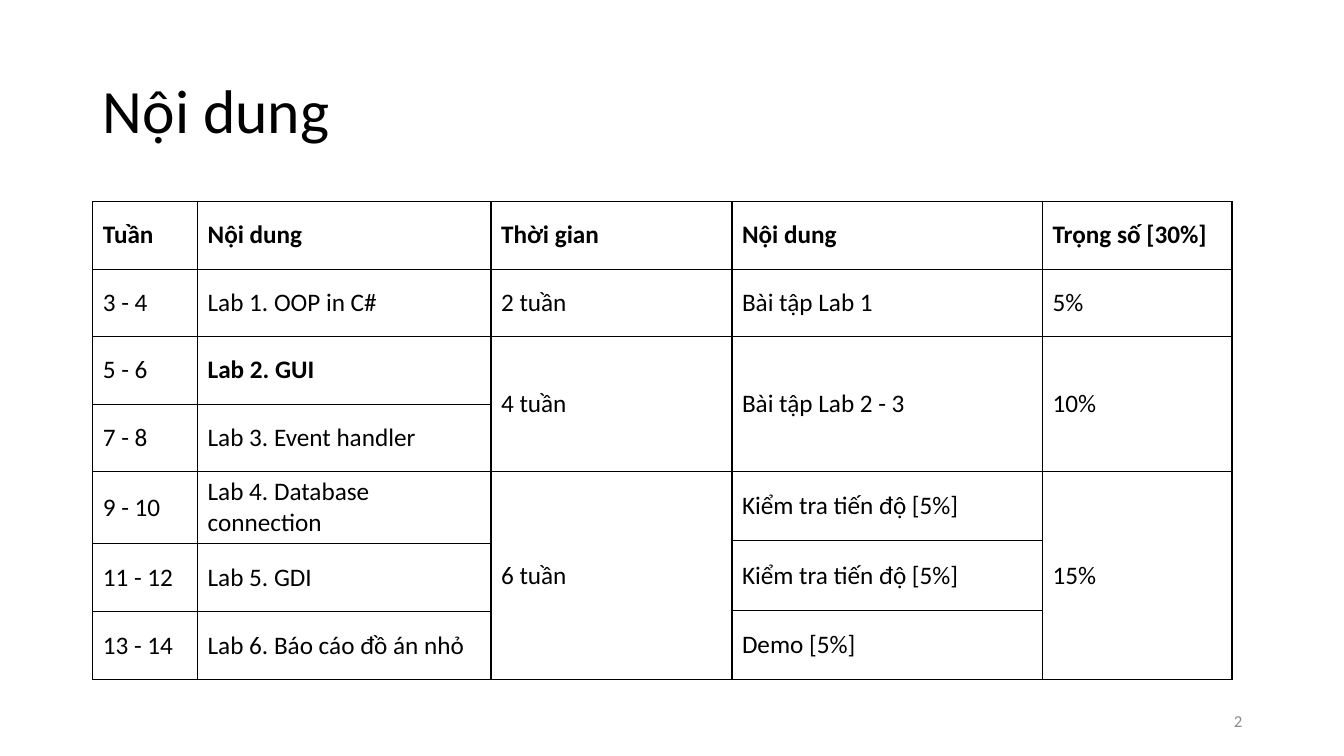
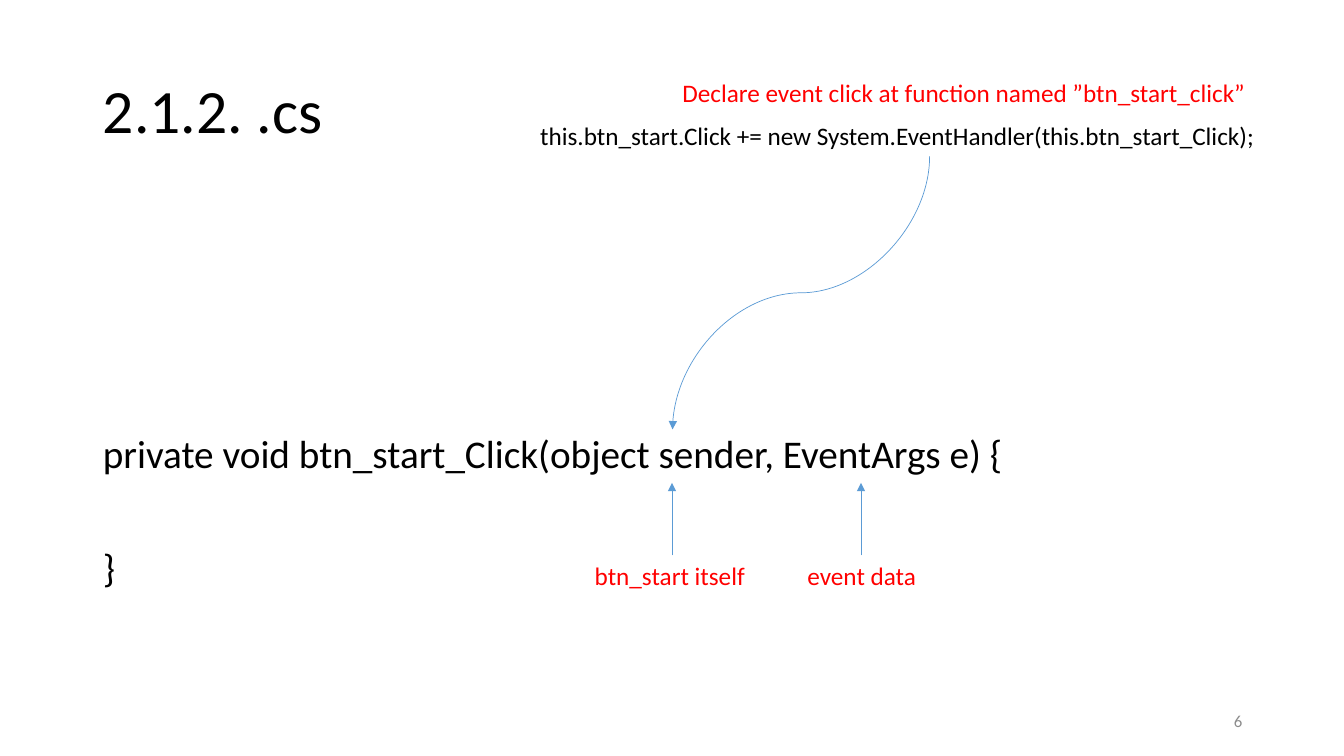
from lxml import etree
from pptx import Presentation
from pptx.dml.color import RGBColor
from pptx.enum.shapes import MSO_CONNECTOR
from pptx.enum.text import MSO_ANCHOR, MSO_AUTO_SIZE, PP_ALIGN
from pptx.oxml.ns import qn
from pptx.util import Inches, Pt

STRAIGHT, CURVE = MSO_CONNECTOR.STRAIGHT, MSO_CONNECTOR.CURVE
MIDDLE, TOP = MSO_ANCHOR.MIDDLE, MSO_ANCHOR.TOP
LEFT, RIGHT = PP_ALIGN.LEFT, PP_ALIGN.RIGHT
NO_FIT, GROW = MSO_AUTO_SIZE.NONE, MSO_AUTO_SIZE.SHAPE_TO_FIT_TEXT

FONT = "Calibri"
COLORS = {"text": "000000", "number": "8C8C8C", "note": "FF0000", "arrow": "5B9BD5"}
TITLE_ONLY, TITLE_AND_BODY = 5, 1
MARGIN, CONTENT_WIDTH = 0.92, 11.5

# Schedule: (row, column, rows spanned, text); the thin rows offset the fourth column
COLUMN_WIDTHS = [1.04, 2.91, 2.39, 3.08, 1.88]
ROW_HEIGHTS = [0.67, 0.67, 0.67, 0.67, 0.68, 0.03, 0.67, 0.01, 0.67]
SCHEDULE = [
    (0, 0, 1, "Tuần"), (0, 1, 1, "Nội dung"), (0, 2, 1, "Thời gian"),
    (0, 3, 1, "Nội dung"), (0, 4, 1, "Trọng số [30%]"),
    (1, 0, 1, "3 - 4"), (1, 1, 1, "Lab 1. OOP in C#"), (1, 2, 1, "2 tuần"),
    (1, 3, 1, "Bài tập Lab 1"), (1, 4, 1, "5%"),
    (2, 0, 1, "5 - 6"), (2, 1, 1, "Lab 2. GUI"), (2, 2, 2, "4 tuần"),
    (2, 3, 2, "Bài tập Lab 2 - 3"), (2, 4, 2, "10%"),
    (3, 0, 1, "7 - 8"), (3, 1, 1, "Lab 3. Event handler"),
    (4, 0, 2, "9 - 10"), (4, 1, 2, "Lab 4. Database connection"),
    (4, 2, 5, "6 tuần"), (4, 3, 1, "Kiểm tra tiến độ [5%]"), (4, 4, 5, "15%"),
    (5, 3, 2, "Kiểm tra tiến độ [5%]"),
    (6, 0, 2, "11 - 12"), (6, 1, 2, "Lab 5. GDI"),
    (7, 3, 2, "Demo [5%]"),
    (8, 0, 1, "13 - 14"), (8, 1, 1, "Lab 6. Báo cáo đồ án nhỏ"),
]
CURRENT_LAB = (2, 1)


def style_runs(para, size, color, bold=False):
    for span in para.runs:
        span.font.name = FONT
        span.font.size = Pt(size)
        span.font.bold = bold
        span.font.color.rgb = RGBColor.from_string(COLORS[color])


def place(shape, box):
    shape.left, shape.top, shape.width, shape.height = (Inches(v) for v in box)


def add_text(page, box, text, size=18, color="note", align=LEFT, anchor=TOP, fit=GROW):
    shape = page.shapes.add_textbox(*(Inches(v) for v in box))
    frame = shape.text_frame
    frame.text = text
    frame.word_wrap = True
    frame.auto_size = fit
    frame.vertical_anchor = anchor
    para = frame.paragraphs[0]
    para.alignment = align
    style_runs(para, size, color)
    return shape


def add_page(deck, layout, title, number):
    """Add a slide with the shared title style and page number."""
    page = deck.slides.add_slide(deck.slide_layouts[layout])
    heading = page.shapes.title
    place(heading, (MARGIN, 0.4, CONTENT_WIDTH, 1.45))
    frame = heading.text_frame
    frame.text = title
    frame.auto_size = NO_FIT
    frame.vertical_anchor = MIDDLE
    para = frame.paragraphs[0]
    para.alignment = LEFT
    para.line_spacing = 0.9
    style_runs(para, 44, "text")
    add_text(page, (9.42, 6.95, 3, 0.4), number, 12, "number", RIGHT, MIDDLE, NO_FIT)
    return page


def set_borders(cell):
    properties = cell._tc.get_or_add_tcPr()
    for position, side in enumerate(("a:lnL", "a:lnR", "a:lnT", "a:lnB")):
        line = etree.Element(qn(side), w=str(Pt(1)))
        fill = etree.SubElement(line, qn("a:solidFill"))
        etree.SubElement(fill, qn("a:srgbClr"), val=COLORS["text"])
        properties.insert(position, line)


def add_schedule(page, left, top):
    box = (left, top, sum(COLUMN_WIDTHS), sum(ROW_HEIGHTS))
    table = page.shapes.add_table(
        len(ROW_HEIGHTS), len(COLUMN_WIDTHS), *(Inches(v) for v in box)).table
    table.first_row = table.horz_banding = False
    for column, width in zip(table.columns, COLUMN_WIDTHS):
        column.width = Inches(width)
    for row, height in zip(table.rows, ROW_HEIGHTS):
        row.height = Inches(height)
    for cell in table.iter_cells():
        cell.fill.background()
        set_borders(cell)
    for row, column, rows, text in SCHEDULE:
        cell = table.cell(row, column)
        if rows > 1:
            cell.merge(table.cell(row + rows - 1, column))
        cell.text = text
        cell.vertical_anchor = MIDDLE
        bold = row == 0 or (row, column) == CURRENT_LAB
        style_runs(cell.text_frame.paragraphs[0], 18, "text", bold)


def add_arrow(page, kind, start, end):
    arrow = page.shapes.add_connector(kind, *(Inches(v) for v in start + end))
    arrow.line.color.rgb = RGBColor.from_string(COLORS["arrow"])
    arrow.line.width = Pt(0.5)
    etree.SubElement(arrow.line._get_or_add_ln(), qn("a:tailEnd"), type="triangle")
    etree.SubElement(arrow._element.spPr, qn("a:effectLst"))
    return arrow


def add_falling_curve(page, start, end):
    """Curve that leaves and arrives vertically: a level one turned by 90 degrees."""
    middle_x, middle_y = (start[0] + end[0]) / 2, (start[1] + end[1]) / 2
    half_run, half_drop = (start[0] - end[0]) / 2, (end[1] - start[1]) / 2
    arrow = add_arrow(page, CURVE,
                      (middle_x - half_drop, middle_y - half_run),
                      (middle_x + half_drop, middle_y + half_run))
    arrow._element.spPr.find(qn("a:xfrm")).set("rot", str(90 * 60000))


def fill_code(body, box):
    place(body, box)
    frame = body.text_frame
    frame.text = "private void btn_start_Click(object sender, EventArgs e) {\n}"
    frame.auto_size = NO_FIT
    for para, space in zip(frame.paragraphs, (0, 51)):
        properties = para._p.get_or_add_pPr()
        properties.set("marL", "0")
        properties.set("indent", "0")
        etree.SubElement(properties, qn("a:buNone"))
        para.line_spacing = 0.9
        para.space_before = Pt(space)
        style_runs(para, 28, "text")


def add_event_notes(page, left, top):
    """Registration line, parameter labels and the arrows to the handler."""
    add_text(page, (left, top + 0.42, 7.93, 0.4),
             "this.btn_start.Click += new System.EventHandler(this.btn_start_Click);",
             color="text")
    add_text(page, (left + 1.41, top, 5.96, 0.4),
             "Declare event click at function named ”btn_start_click”")
    sender_x, data_x = left + 1.41, left + 3.28
    label_top, arrow_top = top + 4.79, top + 4.07
    add_falling_curve(page, (left + 3.96, top + 0.83), (sender_x, top + 3.54))
    sender = add_text(page, (left + 0.54, label_top, 1.73, 0.4), "btn_start itself")
    add_text(page, (left + 2.65, label_top, 1.73, 0.4), "event data")
    sender_arrow = add_arrow(page, STRAIGHT, (sender_x, label_top), (sender_x, arrow_top))
    sender_arrow.begin_connect(sender, 0)
    sender_arrow.end_x = sender_arrow.begin_x
    add_arrow(page, STRAIGHT, (data_x, label_top), (data_x, arrow_top))


def main():
    deck = Presentation()
    deck.slide_width, deck.slide_height = Inches(13.33), Inches(7.5)

    # Course schedule
    page = add_page(deck, TITLE_ONLY, "Nội dung", "2")
    add_schedule(page, MARGIN, 2)

    # Event handler code
    page = add_page(deck, TITLE_AND_BODY, "2.1.2. .cs", "6")
    fill_code(page.placeholders[1], (MARGIN, 4.26, CONTENT_WIDTH, 2.49))
    add_event_notes(page, 5.26, 0.72)

    deck.save("out.pptx")


if __name__ == "__main__":
    main()
